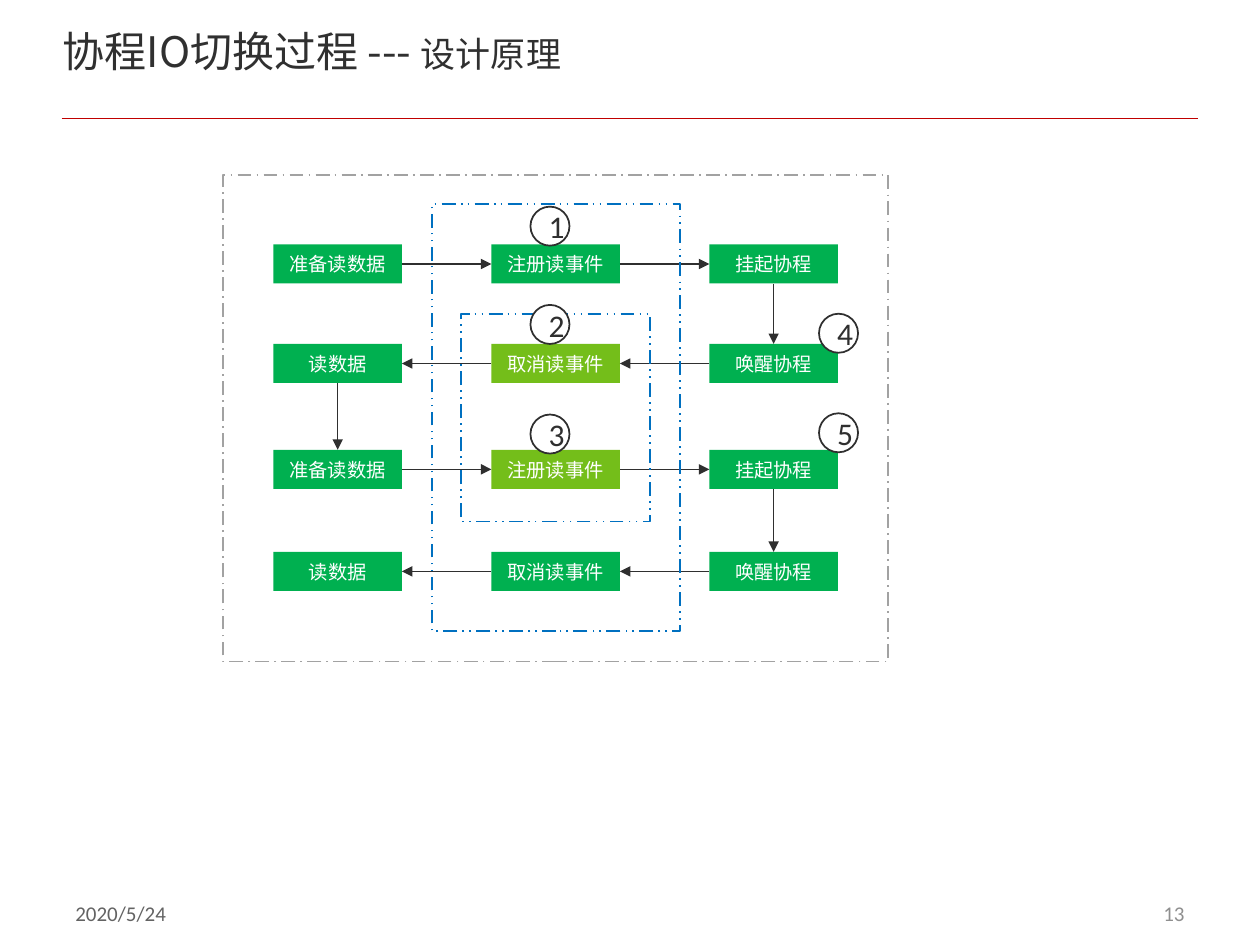
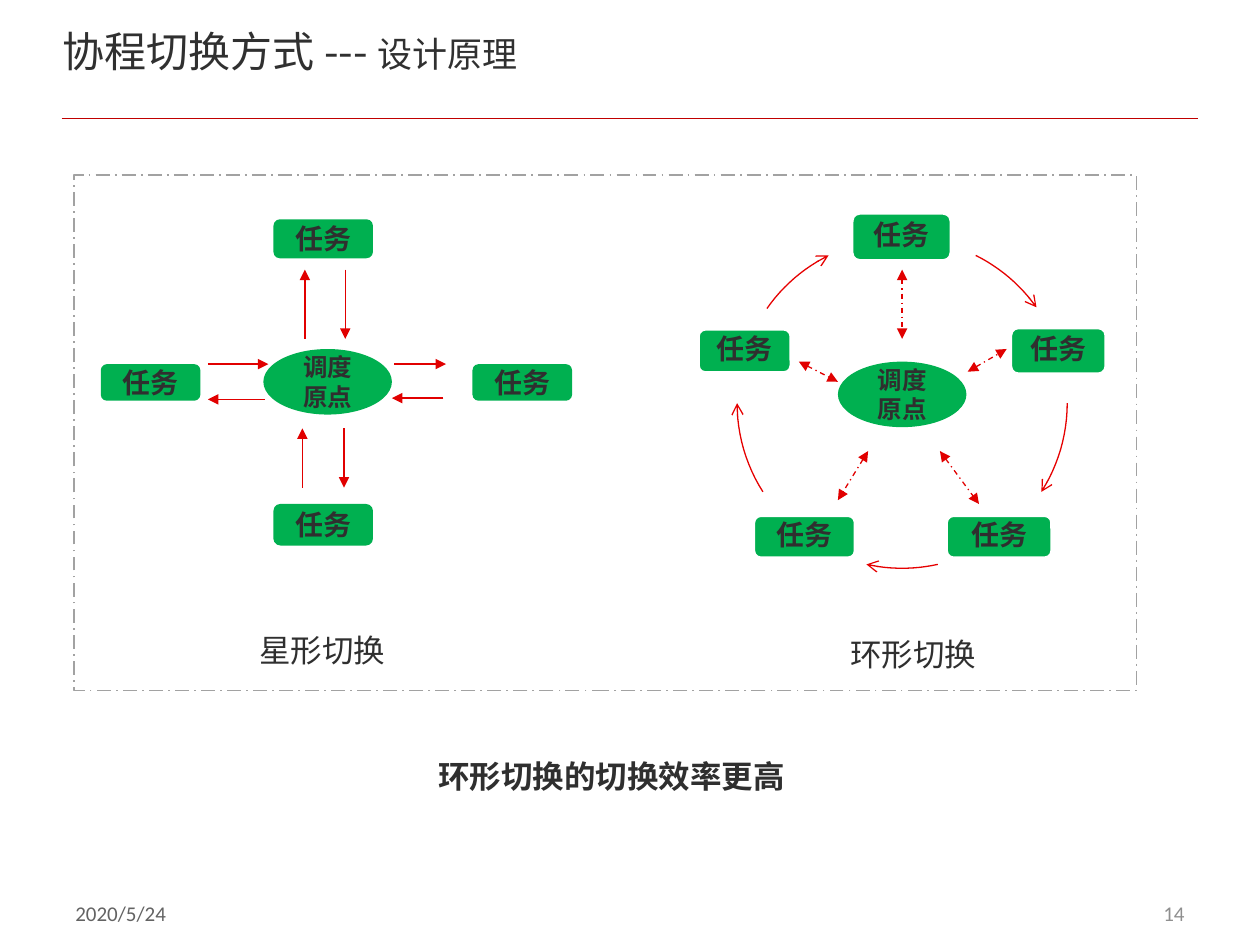
from itertools import pairwise
from math import cos, radians, sin
from lxml.etree import SubElement
from pptx import Presentation
from pptx.dml.color import RGBColor
from pptx.enum.dml import MSO_LINE
from pptx.enum.shapes import MSO_CONNECTOR, MSO_SHAPE
from pptx.enum.text import MSO_ANCHOR, PP_ALIGN
from pptx.oxml.ns import qn
from pptx.util import Inches, Pt

WHITE = RGBColor(0xFF, 0xFF, 0xFF)
INK = RGBColor(0x2F, 0x2F, 0x2F)
TITLE_INK = RGBColor(0x30, 0x30, 0x30)
DATE_GREY = RGBColor(0x63, 0x63, 0x63)
NUMBER_GREY = RGBColor(0x8F, 0x8F, 0x8F)
FRAME_GREY = RGBColor(0xA2, 0xA2, 0xA2)
RULE_RED = RGBColor(0xC0, 0x00, 0x00)
ARROW_RED = RGBColor(0xE1, 0x00, 0x00)
ARC_RED = RGBColor(0xE6, 0x00, 0x00)
GREEN = RGBColor(0x00, 0xB0, 0x50)
LIME = RGBColor(0x74, 0xBE, 0x1A)
BLUE = RGBColor(0x00, 0x70, 0xC0)
BODY_FONT, TITLE_FONT = "Calibri", "Noto Sans CJK SC"
WIDTH, HEIGHT, MARGIN = 10, 7.5, 0.5

SUBTITLE = "设计原理"
DATE = "2020/5/24"

STEPS = [
    ("准备读数据", 0, 0, GREEN), ("注册读事件", 0, 1, GREEN), ("挂起协程", 0, 2, GREEN),
    ("唤醒协程", 1, 2, GREEN), ("取消读事件", 1, 1, LIME), ("读数据", 1, 0, GREEN),
    ("准备读数据", 2, 0, GREEN), ("注册读事件", 2, 1, LIME), ("挂起协程", 2, 2, GREEN),
    ("唤醒协程", 3, 2, GREEN), ("取消读事件", 3, 1, GREEN), ("读数据", 3, 0, GREEN),
]
ROW_TOPS = (1.94, 2.73, 3.57, 4.38)
COLUMN_LEFT, COLUMN_PITCH = 2.17, 1.73
STEP_WIDTH, STEP_HEIGHT, BADGE = 1.02, 0.31, 0.31
BADGES = [("1", 4.21, 1.64), ("2", 4.21, 2.42), ("3", 4.21, 3.29),
          ("4", 6.5, 2.49), ("5", 6.5, 3.28)]
FLOW_FRAMES = [
    ((1.77, 1.39, 5.28, 3.86), FRAME_GREY, MSO_LINE.LONG_DASH_DOT),
    ((3.43, 1.62, 1.97, 3.39), BLUE, MSO_LINE.DASH_DOT_DOT),
    ((3.66, 2.49, 1.5, 1.65), BLUE, MSO_LINE.DASH_DOT_DOT),
]

TASK, ORIGIN = "任务", "调度原点"
STAR_TASKS = [(2.17, 1.74, 0.79, 0.31), (2.17, 4, 0.79, 0.33),
              (0.8, 2.89, 0.79, 0.29), (3.75, 2.89, 0.79, 0.29)]
STAR_ARROWS = [
    (2.74, 2.14, 2.74, 2.69), (2.42, 2.69, 2.42, 2.14),
    (2.73, 3.4, 2.73, 3.87), (2.4, 3.87, 2.4, 3.4),
    (3.13, 2.89, 3.54, 2.89), (3.52, 3.16, 3.11, 3.16),
    (2.1, 3.17, 1.65, 3.17), (1.65, 2.89, 2.13, 2.89),
]
RING_TASKS = [(6.76, 1.69, 0.79, 0.38), (8.02, 2.6, 0.76, 0.37), (7.51, 4.09, 0.84, 0.34),
              (5.98, 4.09, 0.81, 0.34), (5.54, 2.61, 0.74, 0.35)]
RING_SPOKES = [
    (6.34, 2.87, 6.65, 3.03), (7.16, 2.14, 7.16, 2.69), (7.68, 2.95, 7.99, 2.77),
    (7.46, 3.58, 7.77, 4), (6.89, 3.58, 6.65, 3.97),
]
RING_X, RING_Y, RING_RADIUS, ARC_STEPS = 7.16, 3.2, 1.31, 12
RING_ARCS = [(-63.5, -35.5), (0, 32.5), (77.5, 102.5), (147.5, 180), (215, 243.5)]
ORIGINS = [(2.09, 2.77, 1.02, 0.52), (6.65, 2.87, 1.02, 0.52)]
CAPTIONS = [
    ("星形切换", (1.96, 4.96, 1.42, 0.4), False),
    ("环形切换", (6.65, 4.99, 1.42, 0.4), False),
    ("环形切换的切换效率更高", (3.38, 5.96, 3.78, 0.4), True),
]
SWITCH_FRAME = (0.59, 1.39, 8.43, 4.09)


def write(shape, text, size, color, bold=False, align=PP_ALIGN.LEFT, anchor=MSO_ANCHOR.MIDDLE):
    frame = shape.text_frame
    frame.word_wrap = True
    frame.vertical_anchor = anchor
    para = frame.paragraphs[0]
    para.text = text
    para.alignment = align
    para.font.name, para.font.size = BODY_FONT, Pt(size)
    para.font.color.rgb, para.font.bold = color, bold
    return para


def add_text(page, area, text, size, color, **style):
    box = page.shapes.add_textbox(*map(Inches, area))
    write(box, text, size, color, **style)


def add_box(page, kind, area, fill=None, line=None, weight=1, dash=None):
    box = page.shapes.add_shape(kind, *map(Inches, area))
    box.shadow.inherit = False
    if fill is None:
        box.fill.background()
    else:
        box.fill.solid()
        box.fill.fore_color.rgb = fill
    if line is None:
        box.line.fill.background()
    else:
        style_line(box.line, line, weight, dash)
    return box


def style_line(line, color, weight, dash=None):
    line.color.rgb = color
    line.width = Pt(weight)
    if dash is not None:
        line.dash_style = dash


def add_arrowheads(shape, tail, head=None):
    outline = shape.get_or_add_ln()
    for end, kind in (("a:headEnd", head), ("a:tailEnd", tail)):
        if kind:
            SubElement(outline, qn(end), type=kind)


def add_line(page, ends, color, weight=0.75, dash=None, tail=None, head=None):
    line = page.shapes.add_connector(MSO_CONNECTOR.STRAIGHT, *map(Inches, ends))
    style_line(line.line, color, weight, dash)
    add_arrowheads(line, tail, head)
    SubElement(line._element.spPr, qn("a:effectLst"))
    return line


def add_page(deck, title, number):
    page = deck.slides.add_slide(deck.slide_layouts[6])
    add_line(page, (0.49, 0.94, WIDTH - 0.49, 0.94), RULE_RED, 1)
    footer_top, footer_width, footer_height = HEIGHT - 0.52, 2.33, 0.53
    add_text(page, (MARGIN, footer_top, footer_width, footer_height), DATE, 12, DATE_GREY)
    add_text(page, (WIDTH - MARGIN - footer_width, footer_top, footer_width, footer_height),
             str(number), 12, NUMBER_GREY, align=PP_ALIGN.RIGHT)

    heading = page.shapes.add_textbox(*map(Inches, (MARGIN, 0.2, 7.73, 0.7)))
    frame = heading.text_frame
    frame.word_wrap = True
    frame.margin_left = frame.margin_right = frame.margin_top = frame.margin_bottom = 0
    para = frame.paragraphs[0]
    para.font.color.rgb = TITLE_INK
    for text, size in ((title + " --- ", 24), (SUBTITLE, 20)):
        span = para.add_run()
        span.text = text
        span.font.size = Pt(size)
        span.font.name = TITLE_FONT
        SubElement(span.font._element, qn("a:ea"), typeface=TITLE_FONT)
    return page


def connect(page, start, end):
    top, left, bottom, right = range(4)
    if start.left == end.left:
        sites = bottom, top
    elif start.left < end.left:
        sites = right, left
    else:
        sites = left, right
    arrow = add_line(page, (0, 0, 0, 0), INK, tail="triangle")
    arrow.begin_connect(start, sites[0])
    arrow.end_connect(end, sites[1])


def add_flow(page):
    boxes = []
    for text, row, column, fill in STEPS:
        area = (COLUMN_LEFT + column * COLUMN_PITCH, ROW_TOPS[row], STEP_WIDTH, STEP_HEIGHT)
        box = add_box(page, MSO_SHAPE.RECTANGLE, area, fill)
        write(box, text, 11, WHITE, align=PP_ALIGN.CENTER)
        boxes.append(box)
    for start, end in pairwise(boxes):
        connect(page, start, end)
    for area, color, dash in FLOW_FRAMES:
        add_box(page, MSO_SHAPE.RECTANGLE, area, line=color, dash=dash)
    for text, left, top in BADGES:
        badge = add_box(page, MSO_SHAPE.OVAL, (left, top, BADGE, BADGE), WHITE, INK)
        write(badge, text, 18, INK, align=PP_ALIGN.CENTER)


def add_task(page, area, line=None):
    box = add_box(page, MSO_SHAPE.ROUNDED_RECTANGLE, area, GREEN, line, 2)
    return box, write(box, TASK, 16, INK, bold=True, align=PP_ALIGN.CENTER)


def add_arc(page, start, end):
    angles = [radians(start + (end - start) * step / ARC_STEPS) for step in range(ARC_STEPS + 1)]
    points = [(Inches(RING_X + RING_RADIUS * cos(angle)), Inches(RING_Y + RING_RADIUS * sin(angle)))
              for angle in angles]
    builder = page.shapes.build_freeform(*points[0])
    builder.add_line_segments(points[1:], close=False)
    arc = builder.convert_to_shape()
    arc.shadow.inherit = False
    arc.fill.background()
    style_line(arc.line, ARC_RED, 0.75)
    add_arrowheads(arc, "arrow")


def add_switching(page):
    for area in RING_TASKS:
        box, para = add_task(page, area, WHITE)
        frame = box.text_frame
        frame.margin_left = frame.margin_right = Inches(0.07)
        frame.margin_top = frame.margin_bottom = Inches(0.07)
        para.line_spacing = 0.9
        para.space_after = Pt(5.6)
    for start, end in RING_ARCS:
        add_arc(page, start, end)
    for area in STAR_TASKS:
        add_task(page, area)
    for area in ORIGINS:
        origin = add_box(page, MSO_SHAPE.FLOWCHART_CONNECTOR, area, GREEN)
        write(origin, ORIGIN, 14, INK, bold=True, align=PP_ALIGN.CENTER)
    for ends in STAR_ARROWS:
        add_line(page, ends, ARROW_RED, tail="triangle")
    for ends in RING_SPOKES:
        add_line(page, ends, ARROW_RED, dash=MSO_LINE.DASH_DOT, tail="triangle", head="triangle")
    for text, area, bold in CAPTIONS:
        add_text(page, area, text, 18, INK, bold=bold, anchor=MSO_ANCHOR.TOP)
    add_box(page, MSO_SHAPE.RECTANGLE, SWITCH_FRAME, line=FRAME_GREY, dash=MSO_LINE.LONG_DASH_DOT)


deck = Presentation()
deck.slide_width, deck.slide_height = Inches(WIDTH), Inches(HEIGHT)
add_flow(add_page(deck, "协程IO切换过程", 13))
add_switching(add_page(deck, "协程切换方式", 14))
deck.save("out.pptx")
